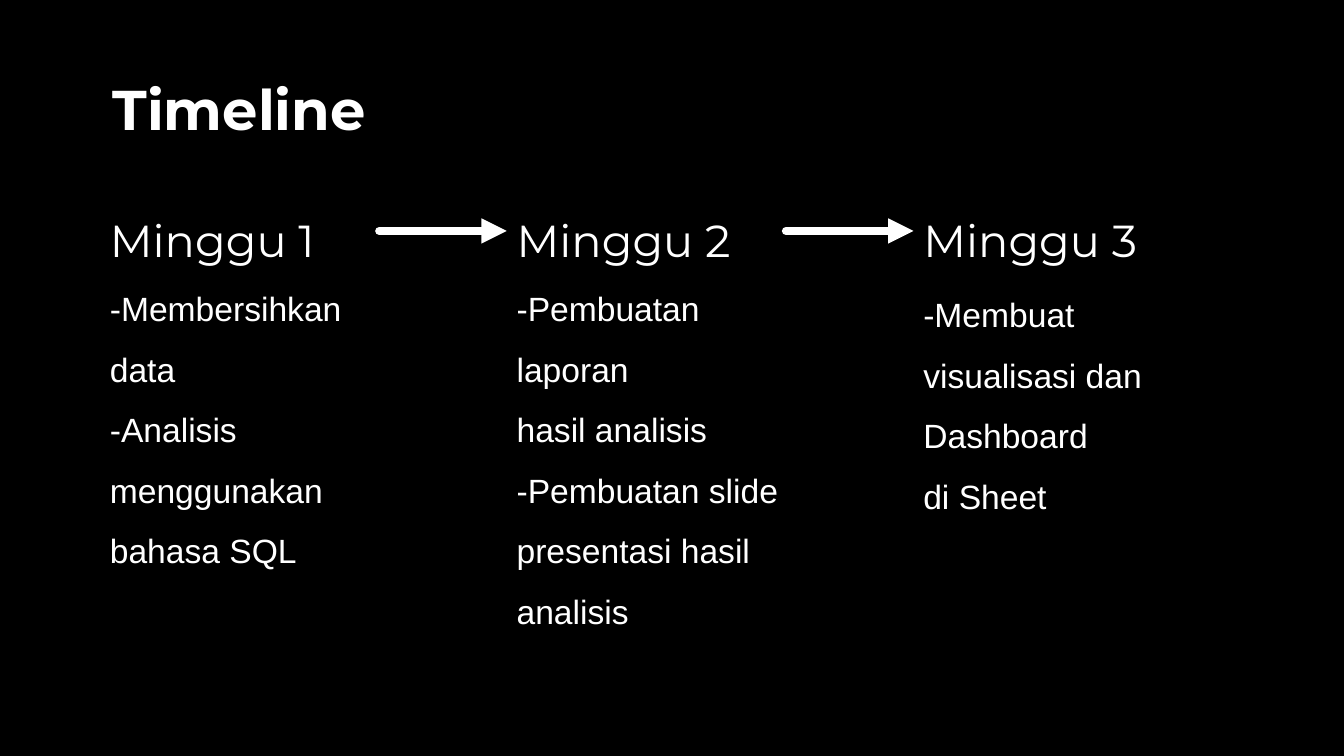
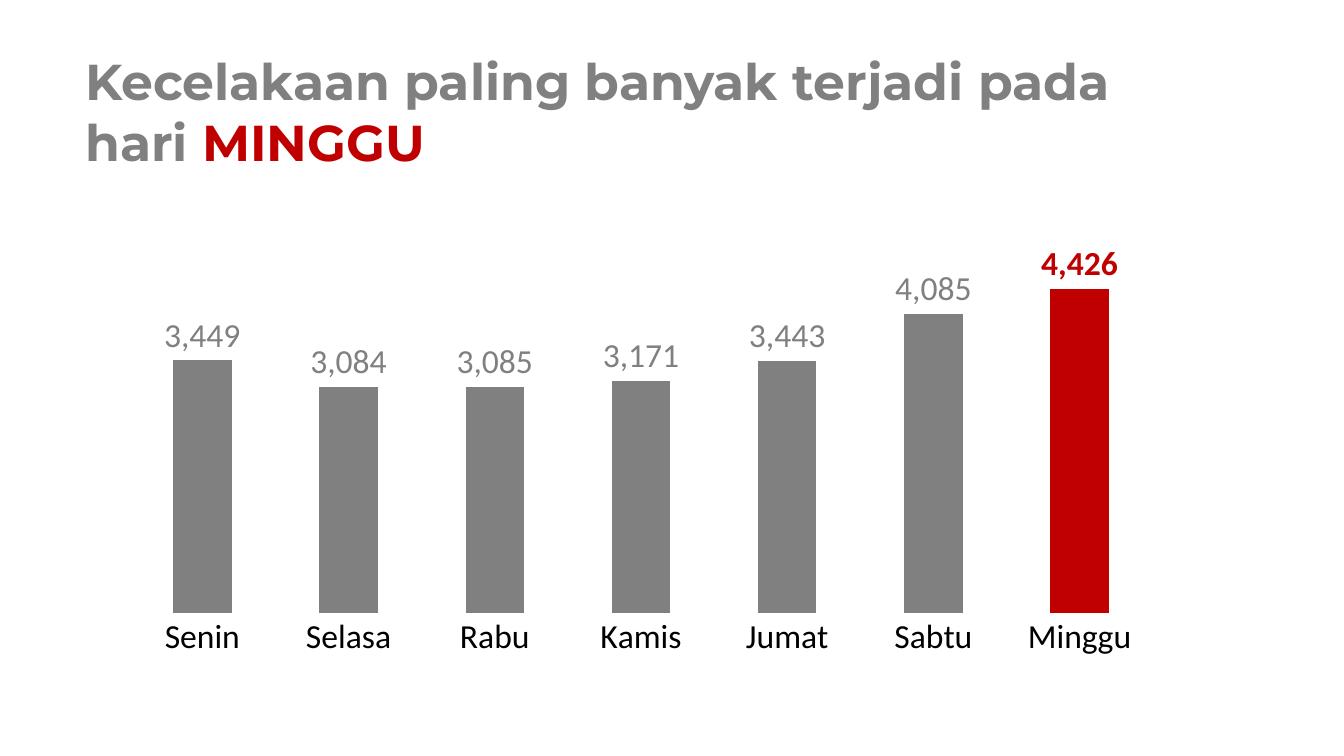
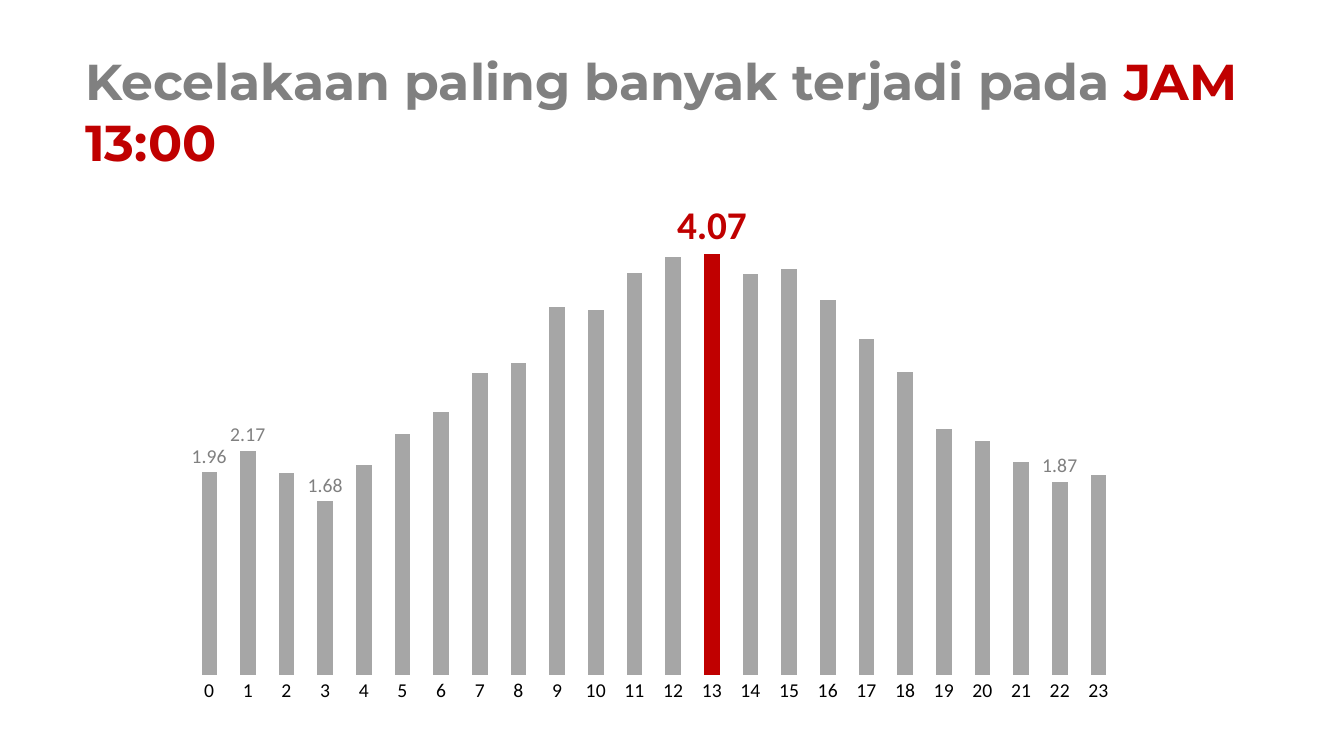
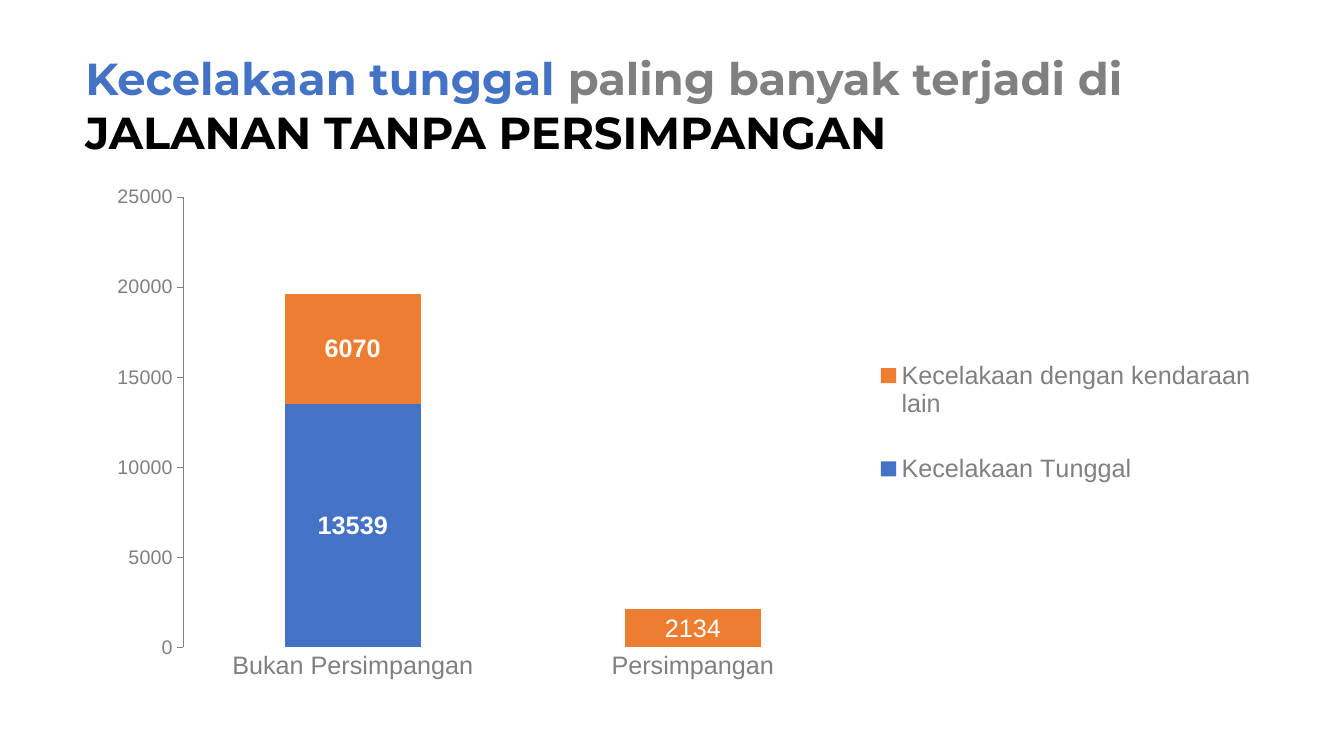
from lxml import etree
from pptx import Presentation
from pptx import util as u
from pptx.chart.data import CategoryChartData
from pptx.dml.color import RGBColor
from pptx.enum import chart as charts, shapes, text
from pptx.oxml.ns import qn

COLOURS = {"black": "000000", "white": "FFFFFF", "grey": "808080", "silver": "A6A6A6",
           "red": "C00000", "blue": "4472C4", "orange": "ED7D31"}
HEADING_FONT, BODY_FONT, CHART_FONT = "Montserrat", "Arial", "Calibri"

# Content: timeline columns as (heading, body top in cm, tasks)
WEEKS = [
    ("Minggu 1", 6.63, ["-Membersihkan data", "-Analisis menggunakan bahasa SQL"]),
    ("Minggu 2", 6.63, ["-Pembuatan laporan", "hasil analisis", "-Pembuatan slide",
                        "presentasi hasil", "analisis"]),
    ("Minggu 3", 6.78, ["-Membuat visualisasi dan Dashboard", "di Sheet"]),
]
COLUMN_LEFT, COLUMN_PITCH = 2.52, 10.25
HEADING_TOP, HEADING_WIDTH, HEADING_HEIGHT = 4.55, 7.04, 2.54
BODY_WIDTH = 7.67

# Content: chart slides; labels map a point to (size, bold, colour)
DAYS = ["Senin", "Selasa", "Rabu", "Kamis", "Jumat", "Sabtu", "Minggu"]
HOURS = [str(hour) for hour in range(24)]
HOUR_VALUES = [1.96, 2.17, 1.95, 1.68, 2.03, 2.33, 2.54, 2.92, 3.02, 3.56, 3.53, 3.89,
               4.04, 4.07, 3.88, 3.93, 3.63, 3.25, 2.93, 2.38, 2.26, 2.06, 1.87, 1.93]
WHITE_BOLD = (18, True, "white")
CHART_SLIDES = [
    {
        "title": [("Kecelakaan paling banyak terjadi pada hari ", "grey"), ("MINGGU", "red")],
        "title_size": 36, "title_box": (29.15, 3.33),
        "box": (2.72, 6, 26.87, 10.87), "plot": (0.02, 0.02, 0.96, 0.85),
        "categories": DAYS, "format": "#,##0", "maximum": 5000,
        "category_font": (CHART_FONT, 24, "black"),
        "series": [{"name": "Series 1", "colour": "grey", "highlight": {6: "red"},
                    "values": [3449, 3084, 3085, 3171, 3443, 4085, 4426],
                    "labels": {**{day: (24, False, "grey") for day in range(6)},
                               6: (24, True, "red")}}],
    },
    {
        "title": [("Kecelakaan paling banyak terjadi pada ", "grey"), ("JAM 13:00", "red")],
        "title_size": 36, "title_box": (30.75, 3.33),
        "box": (4.3, 5.03, 24.36, 12.88), "plot": (0.02, 0.02, 0.96, 0.91),
        "categories": HOURS, "format": "General", "maximum": 4.5,
        "category_font": (CHART_FONT, 14, "black"),
        "series": [{"name": "Series 1", "colour": "silver", "highlight": {13: "red"},
                    "values": HOUR_VALUES,
                    "labels": {**{hour: (14, False, "grey") for hour in (0, 1, 3, 22)},
                               13: (28, True, "red")}}],
    },
    {
        "title": [("Kecelakaan tunggal ", "blue"), ("paling banyak terjadi di ", "grey"),
                  ("JALANAN TANPA PERSIMPANGAN", "black")],
        "title_size": 32, "title_box": (30.75, 3),
        "box": (2.2, 4.45, 30.07, 12.9), "plot": (0.08, 0.04, 0.57, 0.88),
        "legend": (0.65, 0.29, 0.34, 0.38), "stacked": True,
        "categories": ["Bukan Persimpangan", "Persimpangan"],
        "format": "General", "maximum": 25000,
        "category_font": (BODY_FONT, 18, "grey"),
        "series": [
            {"name": "Kecelakaan Tunggal", "colour": "blue", "highlight": {},
             "values": [13539, None], "labels": {0: WHITE_BOLD}},
            {"name": "Kecelakaan dengan kendaraan lain", "colour": "orange", "highlight": {},
             "values": [6070, 2134], "labels": {0: WHITE_BOLD, 1: (18, False, "white")}},
        ],
    },
]


def rgb(name):
    return RGBColor.from_string(COLOURS[name])


def set_font(font, name, size, colour, bold=False):
    font.name, font.size, font.bold = name, u.Pt(size), bold
    font.color.rgb = rgb(colour)


def add_slide(presentation, background):
    slide = presentation.slides.add_slide(presentation.slide_layouts[6])
    slide.background.fill.solid()
    slide.background.fill.fore_color.rgb = rgb(background)
    return slide


def add_text(slide, box, paragraphs, font_name, size, bold=False, spacing=None, align=None):
    """Each paragraph is a list of (text, colour) runs."""
    shape = slide.shapes.add_textbox(*map(u.Cm, box))
    frame = shape.text_frame
    frame.word_wrap = True
    frame.auto_size = text.MSO_AUTO_SIZE.SHAPE_TO_FIT_TEXT
    for index, runs in enumerate(paragraphs):
        paragraph = frame.add_paragraph() if index else frame.paragraphs[0]
        paragraph.line_spacing, paragraph.alignment = spacing, align
        for words, colour in runs:
            run = paragraph.add_run()
            run.text = words
            set_font(run.font, font_name, size, colour, bold)
    return shape


def add_arrow(slide, start, end):
    """Thick white arrow from the right side of start to the left side of end."""
    arrow = slide.shapes.add_connector(shapes.MSO_CONNECTOR.STRAIGHT, 0, 0, 0, 0)
    arrow.begin_connect(start, 3)
    arrow.end_connect(end, 1)
    arrow.line.color.rgb = rgb("white")
    arrow.line.width = u.Pt(6)
    properties = arrow._element.spPr
    line = properties.find(qn("a:ln"))
    line.set("cap", "rnd")
    etree.SubElement(line, qn("a:tailEnd"), type="triangle")
    etree.SubElement(properties, qn("a:effectLst"))


def place(parent, index, fractions, inner=False):
    """Give a plot area or legend a fixed place inside its chart."""
    for old in parent.findall(qn("c:layout")):
        parent.remove(old)
    layout = etree.Element(qn("c:layout"))
    manual = etree.SubElement(layout, qn("c:manualLayout"))
    if inner:
        etree.SubElement(manual, qn("c:layoutTarget"), val="inner")
    for side in ("xMode", "yMode"):
        etree.SubElement(manual, qn("c:" + side), val="edge")
    for side, fraction in zip("xywh", fractions):
        etree.SubElement(manual, qn("c:" + side), val=str(fraction))
    parent.insert(index, layout)


def style_axes(chart, content):
    category, value = chart.category_axis, chart.value_axis
    category.major_tick_mark = charts.XL_TICK_MARK.NONE
    category.format.line.color.rgb = rgb("white")
    set_font(category.tick_labels.font, *content["category_font"])
    value.has_major_gridlines = False
    value.minimum_scale, value.maximum_scale = 0, content["maximum"]
    value.visible = "legend" in content
    if value.visible:
        value.major_unit = 5000
        value.major_tick_mark = charts.XL_TICK_MARK.OUTSIDE
        value.format.line.color.rgb = rgb("grey")
        value.format.line.width = u.Pt(0.25)
        set_font(value.tick_labels.font, BODY_FONT, 14, "grey")


def style_series(series, content, font_name, position):
    series.format.fill.solid()
    series.format.fill.fore_color.rgb = rgb(content["colour"])
    series.data_labels.show_value = False
    for index, colour in content["highlight"].items():
        fill = series.points[index].format.fill
        fill.solid()
        fill.fore_color.rgb = rgb(colour)
    for index, (size, bold, colour) in content["labels"].items():
        label = series.points[index].data_label
        set_font(label.font, font_name, size, colour, bold)
        label.position = position


def add_column_chart(slide, content):
    data = CategoryChartData(number_format=content["format"])
    data.categories = content["categories"]
    for series in content["series"]:
        data.add_series(series["name"], series["values"])
    stacked = content.get("stacked", False)
    kind = charts.XL_CHART_TYPE.COLUMN_STACKED if stacked else charts.XL_CHART_TYPE.COLUMN_CLUSTERED
    position = charts.XL_LABEL_POSITION.CENTER if stacked else charts.XL_LABEL_POSITION.OUTSIDE_END
    chart = slide.shapes.add_chart(kind, *map(u.Cm, content["box"]), data).chart
    chart.has_title = False
    font_name = content["category_font"][0]
    set_font(chart.font, font_name, 10, "grey")

    plot = chart.plots[0]
    plot.vary_by_categories = False
    plot.gap_width = 150
    plot.overlap = 100 if stacked else 0
    style_axes(chart, content)
    for series, series_content in zip(plot.series, content["series"]):
        style_series(series, series_content, font_name, position)
    place(chart._chartSpace.chart.plotArea, 0, content["plot"], inner=True)

    chart.has_legend = "legend" in content
    if chart.has_legend:
        legend = chart.legend
        legend.position = charts.XL_LEGEND_POSITION.RIGHT
        legend.include_in_layout = False
        set_font(legend.font, BODY_FONT, 18, "grey")
        place(legend._element, 1, content["legend"])


def build_timeline(presentation):
    slide = add_slide(presentation, "black")
    add_text(slide, (0.91, 1.75, 10.24, 1.96), [[("Timeline", "white")]],
             HEADING_FONT, 40, bold=True, align=text.PP_ALIGN.CENTER)
    headings = []
    for index, (heading, body_top, tasks) in enumerate(WEEKS):
        left = COLUMN_LEFT + index * COLUMN_PITCH
        headings.append(add_text(slide, (left, HEADING_TOP, HEADING_WIDTH, HEADING_HEIGHT),
                                 [[(heading, "white")]], HEADING_FONT, 32, spacing=1.5))
        add_text(slide, (left, body_top, BODY_WIDTH, 7.7),
                 [[(task, "white")] for task in tasks], BODY_FONT, 24, spacing=1.5)
    for start, end in zip(headings, headings[1:]):
        add_arrow(slide, start, end)


def main():
    presentation = Presentation()
    presentation.slide_width, presentation.slide_height = u.Cm(33.87), u.Cm(19.05)
    build_timeline(presentation)
    for content in CHART_SLIDES:
        slide = add_slide(presentation, "white")
        add_text(slide, (1.9, 1.15, *content["title_box"]), [content["title"]],
                 HEADING_FONT, content["title_size"], bold=True)
        add_column_chart(slide, content)
    presentation.save("out.pptx")


if __name__ == "__main__":
    main()
